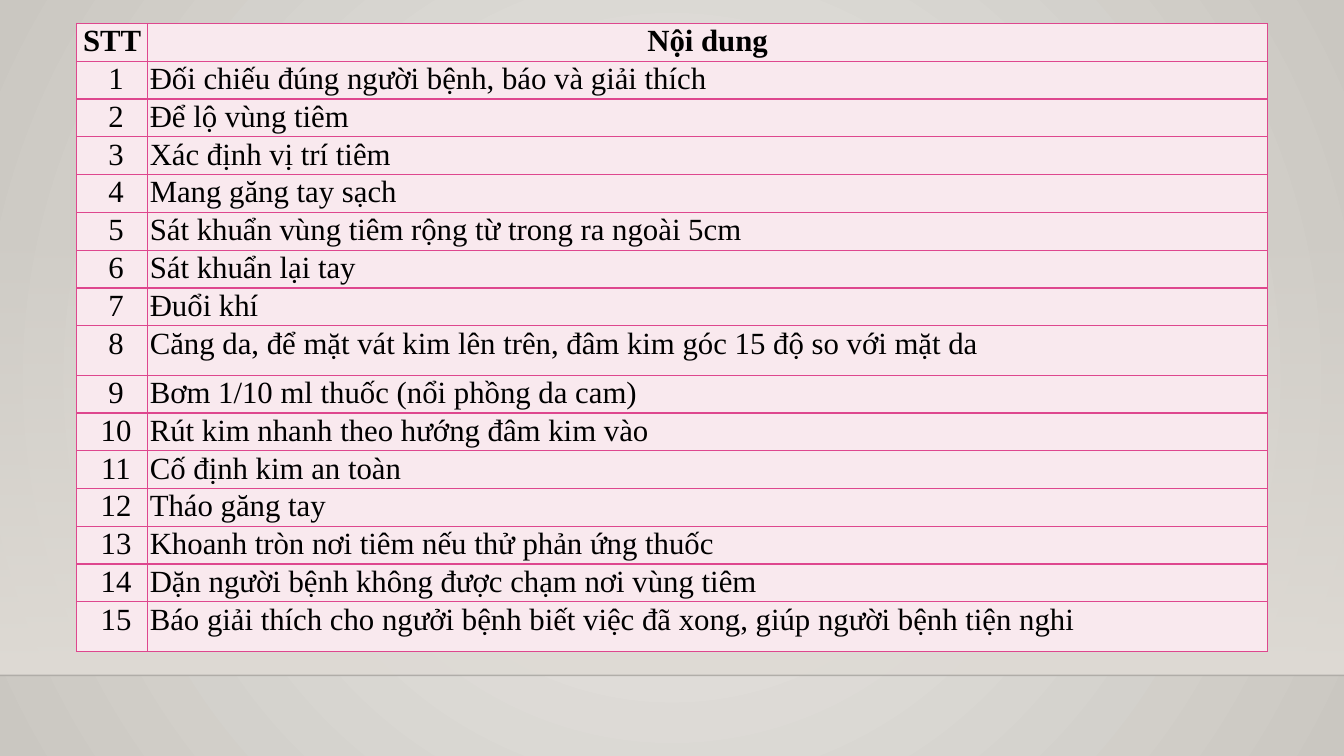
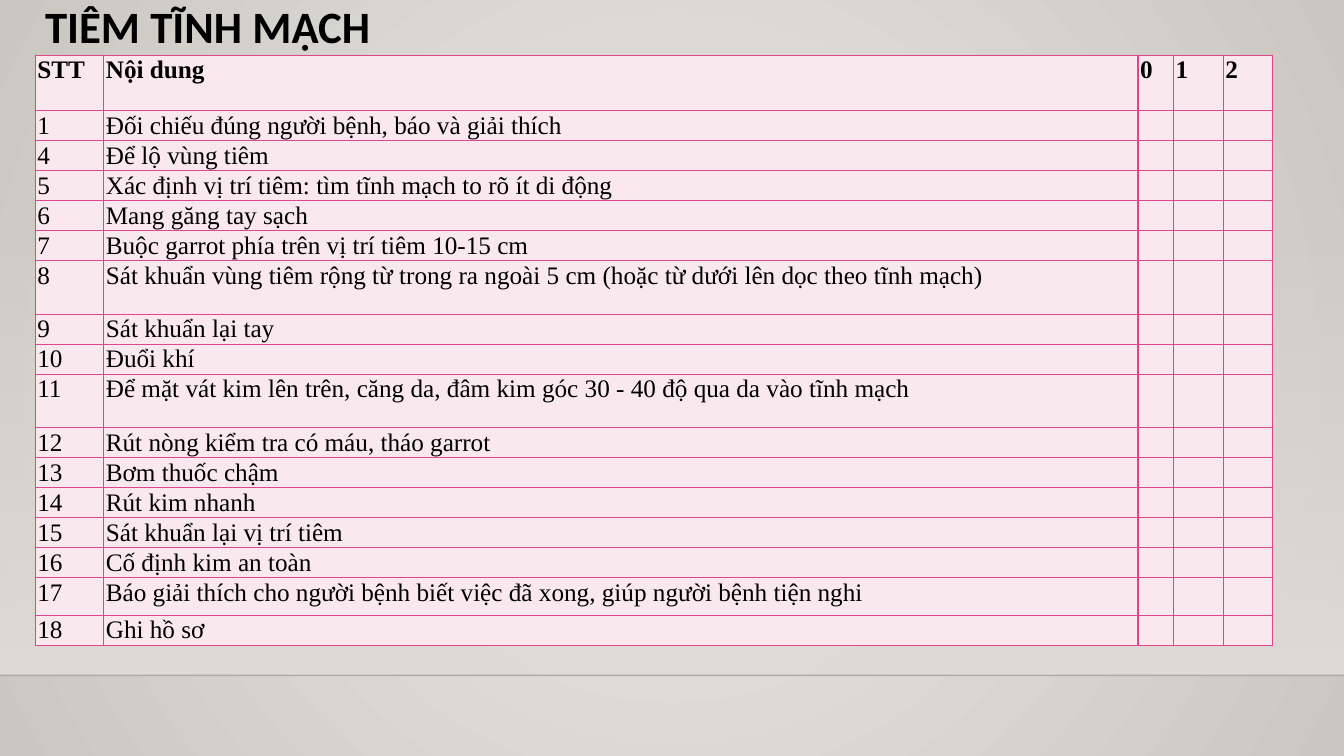
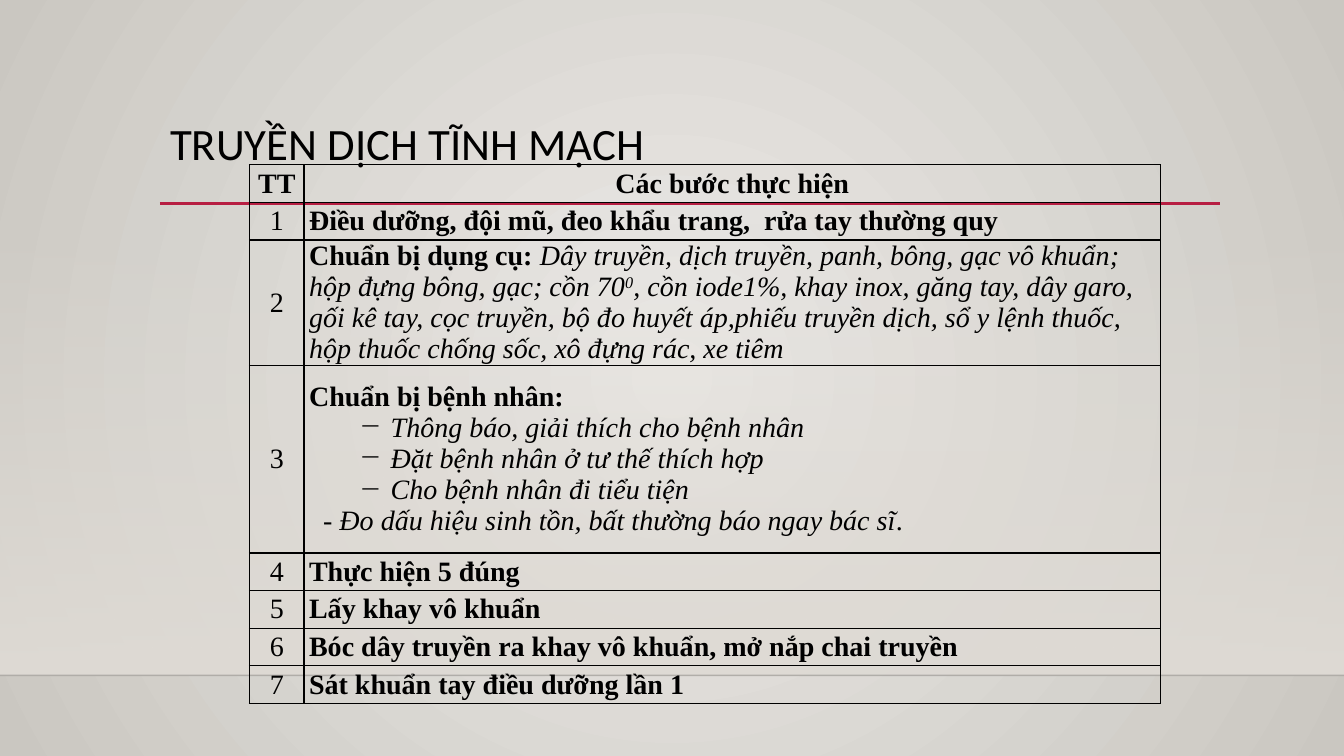
from dataclasses import dataclass

from lxml.etree import SubElement
from pptx import Presentation
from pptx.dml.color import RGBColor
from pptx.enum.shapes import MSO_CONNECTOR, MSO_SHAPE
from pptx.enum.text import MSO_ANCHOR, MSO_AUTO_SIZE, PP_ALIGN
from pptx.oxml.ns import qn
from pptx.util import Inches, Pt

BLACK = "000000"
PINK = "DE478E"
PALE_PINK = "F9E9EE"
CRIMSON = "B71E42"
SAND = "DFDBD5"
TITLE_ONLY, BLANK = 5, 6


def color(hex_string):
    return RGBColor.from_string(hex_string)


def set_opacity(element, percent):
    """Make the first plain colour inside the element partly transparent."""
    solid = element.find(".//" + qn("a:srgbClr"))
    SubElement(solid, qn("a:alpha")).set("val", str(percent * 1000))


def set_gradient(fill, start, end):
    fill.gradient()
    for stop, position, hex_string in zip(fill.gradient_stops, (0, 1), (start, end)):
        stop.position = position
        stop.color.rgb = color(hex_string)


@dataclass
class Line:
    """One paragraph of a cell: (text, style) runs and its indents in inches."""
    runs: list
    left: float = 0
    hanging: float = 0
    bullet: str = ""


@dataclass
class TableStyle:
    font_size: int
    border: str
    fill: str = ""
    margins: tuple = (0.02, 0.01)
    anchor: MSO_ANCHOR = MSO_ANCHOR.TOP
    centered_header: bool = True
    centered_numbers: bool = True


class Deck:
    """Holds the style and the current slide; lengths are percent of the slide."""

    title_font = "Calibri"
    table_font = "Times New Roman"

    def __init__(self):
        self.presentation = Presentation()
        self.presentation.slide_width = Inches(13.33)
        self.presentation.slide_height = Inches(7.5)
        self.slide = None

    def across(self, percent):
        return round(self.presentation.slide_width * percent / 100)

    def down(self, percent):
        return round(self.presentation.slide_height * percent / 100)

    def box(self, left, top, width, height):
        return self.across(left), self.down(top), self.across(width), self.down(height)

    def add_slide(self, layout):
        layouts = self.presentation.slide_layouts
        self.slide = self.presentation.slides.add_slide(layouts[layout])

    def rule(self, left, right, top, hex_string, width):
        line = self.slide.shapes.add_connector(
            MSO_CONNECTOR.STRAIGHT, self.across(left), self.down(top),
            self.across(right), self.down(top))
        line.line.color.rgb = color(hex_string)
        line.line.width = Pt(width)
        SubElement(line.element.spPr, qn("a:effectLst"))
        return line

    def band(self, left, top, width, height):
        band = self.slide.shapes.add_shape(
            MSO_SHAPE.RECTANGLE, *self.box(left, top, width, height))
        band.shadow.inherit = False
        band.line.fill.background()
        set_gradient(band.fill, SAND, SAND)
        band.fill.gradient_angle = 270
        set_opacity(band.element.spPr, 0)
        return band

    def furnish_master(self):
        """Put the background, band and rules, drawn here, on the slide master."""
        master = self.presentation.slide_master
        set_gradient(master.background.fill, "ECEAE7", "CAC7C1")
        gradient = master.element.find(".//" + qn("p:bg")).find(".//" + qn("a:gradFill"))
        gradient.remove(gradient.find(qn("a:lin")))
        path = SubElement(gradient, qn("a:path"))
        path.set("path", "circle")
        center = SubElement(path, qn("a:fillToRect"))
        for side in "ltrb":
            center.set(side, "50000")

        floor_rule = self.rule(0, 100, 89.33, BLACK, 1)
        set_opacity(floor_rule.element.spPr, 20)
        parts = [self.band(0, 29.47, 100, 59.86), floor_rule,
                 self.rule(11.9, 90.75, 26.93, CRIMSON, 2.5)]
        for index, part in enumerate(parts):
            part.element.find(".//" + qn("p:cNvPr")).set("id", str(20 + index))
            master.shapes.element.insert(2 + index, part.element)

    def title(self, text, left, top, bold=False, anchor=MSO_ANCHOR.MIDDLE):
        title = self.slide.shapes.title
        title.left, title.top, title.width, title.height = self.box(left, top, 78.75, 15.3)
        frame = title.text_frame
        frame.text = text
        frame.word_wrap = True
        frame.auto_size = MSO_AUTO_SIZE.NONE
        frame.vertical_anchor = anchor
        paragraph = frame.paragraphs[0]
        paragraph.alignment = PP_ALIGN.LEFT
        paragraph.line_spacing = 0.9
        self.set_font(paragraph.font, self.title_font, 32, bold)

    def set_font(self, font, name, size, bold):
        font.name = name
        font.size = Pt(size)
        font.bold = bold
        font.color.rgb = color(BLACK)

    def table(self, left, top, columns, row_height, rows, style, tall_rows):
        """Draw rows of cells; tall_rows maps a row index to its own height."""
        heights = [tall_rows.get(index, row_height) for index in range(len(rows))]
        table = self.slide.shapes.add_table(
            len(rows), len(columns),
            *self.box(left, top, sum(columns), sum(heights))).table
        table.first_row = table.horz_banding = False
        for column, width in zip(table.columns, columns):
            column.width = self.across(width)
        for row_index, (row, height, contents) in enumerate(zip(table.rows, heights, rows)):
            row.height = self.down(height)
            for column_index, cell in enumerate(row.cells):
                content = contents[column_index] if column_index < len(contents) else ""
                is_header = row_index == 0
                centered = (style.centered_header if is_header
                            else style.centered_numbers and column_index == 0)
                self.format_cell(cell, style)
                self.write_cell(cell, content, style.font_size, is_header, centered)

    def format_cell(self, cell, style):
        properties = cell._tc.get_or_add_tcPr()
        for side in ("lnL", "lnR", "lnT", "lnB"):
            border = SubElement(properties, qn("a:" + side))
            border.set("w", str(Pt(1)))
            solid = SubElement(border, qn("a:solidFill"))
            SubElement(solid, qn("a:srgbClr")).set("val", style.border)
        if style.fill:
            cell.fill.solid()
            cell.fill.fore_color.rgb = color(style.fill)
        else:
            cell.fill.background()
        side_margin, end_margin = map(Inches, style.margins)
        cell.margin_left = cell.margin_right = side_margin
        cell.margin_top = cell.margin_bottom = end_margin
        cell.vertical_anchor = style.anchor

    def write_cell(self, cell, content, size, bold, centered):
        lines = [Line([(content, "")])] if isinstance(content, str) else content
        frame = cell.text_frame
        for index, line in enumerate(lines):
            paragraph = frame.add_paragraph() if index else frame.paragraphs[0]
            paragraph.alignment = PP_ALIGN.CENTER if centered else PP_ALIGN.LEFT
            if line.left:
                properties = paragraph._p.get_or_add_pPr()
                properties.set("marL", str(Inches(line.left)))
                properties.set("indent", str(Inches(-line.hanging)))
                if line.bullet:
                    SubElement(properties, qn("a:buChar")).set("char", line.bullet)
            self.set_font(paragraph.font, self.table_font, size, bold)
            for text, run_style in line.runs:
                if not text:
                    continue
                run = paragraph.add_run()
                run.text = text
                if "bold" in run_style:
                    run.font.bold = True
                if "italic" in run_style:
                    run.font.italic = True
                if "raised" in run_style:
                    run._r.get_or_add_rPr().set("baseline", "30000")


def bold_line(text):
    return Line([(text, "bold")])


def dash_line(text):
    return Line([(text, "italic")], left=0.81, hanging=0.31, bullet="−")


INTRADERMAL_STEPS = [
    "Đối chiếu đúng người bệnh, báo và giải thích",
    "Để lộ vùng tiêm",
    "Xác định vị trí tiêm",
    "Mang găng tay sạch",
    "Sát khuẩn vùng tiêm rộng từ trong ra ngoài 5cm",
    "Sát khuẩn lại tay",
    "Đuổi khí",
    "Căng da, để mặt vát kim lên trên, đâm kim góc 15 độ so với mặt da",
    "Bơm 1/10 ml thuốc (nổi phồng da cam)",
    "Rút kim nhanh theo hướng đâm kim vào",
    "Cố định kim an toàn",
    "Tháo găng tay",
    "Khoanh tròn nơi tiêm nếu thử phản ứng thuốc",
    "Dặn người bệnh không được chạm nơi vùng tiêm",
    "Báo giải thích cho ngưởi bệnh biết việc đã xong, giúp người bệnh tiện nghi",
]

INTRAVENOUS_STEPS = [
    "Đối chiếu đúng người bệnh, báo và giải thích",
    "Để lộ vùng tiêm",
    "Xác định vị trí tiêm: tìm tĩnh mạch to rõ ít di động",
    "Mang găng tay sạch",
    "Buộc garrot phía trên vị trí tiêm 10-15 cm",
    "Sát khuẩn vùng tiêm rộng từ trong ra ngoài 5 cm (hoặc từ dưới lên dọc theo tĩnh mạch)",
    "Sát khuẩn lại tay",
    "Đuổi khí",
    "Để mặt vát kim lên trên, căng da, đâm kim góc 30 - 40 độ qua da vào tĩnh mạch",
    "Rút nòng kiểm tra có máu, tháo garrot",
    "Bơm thuốc chậm",
    "Rút kim nhanh",
    "Sát khuẩn lại vị trí tiêm",
    "Cố định kim an toàn",
    "Báo giải thích cho người bệnh biết việc đã xong, giúp người bệnh tiện nghi",
    "Ghi hồ sơ",
]

INFUSION_STEPS = [
    [bold_line("Điều dưỡng, đội mũ, đeo khẩu trang,  rửa tay thường quy")],
    [Line([
        ("Chuẩn bị dụng cụ: ", "bold"),
        ("Dây truyền, dịch truyền, panh, bông, gạc vô khuẩn; hộp đựng bông, gạc; cồn 70",
         "italic"),
        ("0", "italic raised"),
        (", cồn iode1%, khay inox, găng tay, dây garo, gối kê tay, cọc truyền, "
         "bộ đo huyết áp,phiếu truyền dịch, sổ y lệnh thuốc, hộp thuốc chống sốc, "
         "xô đựng rác, xe tiêm", "italic"),
    ])],
    [bold_line("Chuẩn bị bệnh nhân:"),
     dash_line("Thông báo, giải thích cho bệnh nhân"),
     dash_line("Đặt bệnh nhân ở tư thế thích hợp"),
     dash_line("Cho bệnh nhân đi tiểu tiện"),
     Line([("- Đo dấu hiệu sinh tồn, bất thường báo ngay bác sĩ", "italic"), (".", "")],
          left=0.14)],
    [bold_line("Thực hiện 5 đúng")],
    [bold_line("Lấy khay vô khuẩn")],
    [bold_line("Bóc dây truyền ra khay vô khuẩn, mở nắp chai truyền")],
    [bold_line("Sát khuẩn tay điều dưỡng lần 1")],
]


def numbered(header, numbers, steps, prefix=""):
    return [header] + [(f"{prefix}{number}", step) for number, step in zip(numbers, steps)]


def main():
    deck = Deck()

    deck.add_slide(BLANK)
    deck.furnish_master()
    deck.table(5.7, 3.1, (5.3, 83.3), 5,
               numbered(("STT", "Nội dung"), range(1, 16), INTRADERMAL_STEPS, " "),
               TableStyle(22, PINK, PALE_PINK), {8: 6.55, 15: 6.55})

    deck.add_slide(TITLE_ONLY)
    deck.title("TIÊM TĨNH MẠCH", 2.6, 0, bold=True, anchor=MSO_ANCHOR.TOP)
    deck.table(2.63, 7.33, (5.1, 76.95, 2.65, 3.7, 3.65), 3.97,
               numbered(("STT", "Nội dung", "0", "1", "2"), [1, *range(4, 19)],
                        INTRAVENOUS_STEPS),
               TableStyle(18, PINK, PALE_PINK, centered_header=False,
                          centered_numbers=False),
               {0: 7.33, 6: 7.07, 9: 7.07, 15: 5})

    deck.add_slide(TITLE_ONLY)
    deck.title("TRUYỀN DỊCH TĨNH MẠCH", 11.9, 11.7)
    deck.table(18.57, 21.8, (4.05, 63.75), 4.98,
               numbered(("TT", "Các bước thực hiện"), range(1, 8), INFUSION_STEPS),
               TableStyle(20, BLACK, margins=(0.05, 0), anchor=MSO_ANCHOR.MIDDLE),
               {2: 16.6, 3: 24.8})

    deck.presentation.save("out.pptx")


if __name__ == "__main__":
    main()
